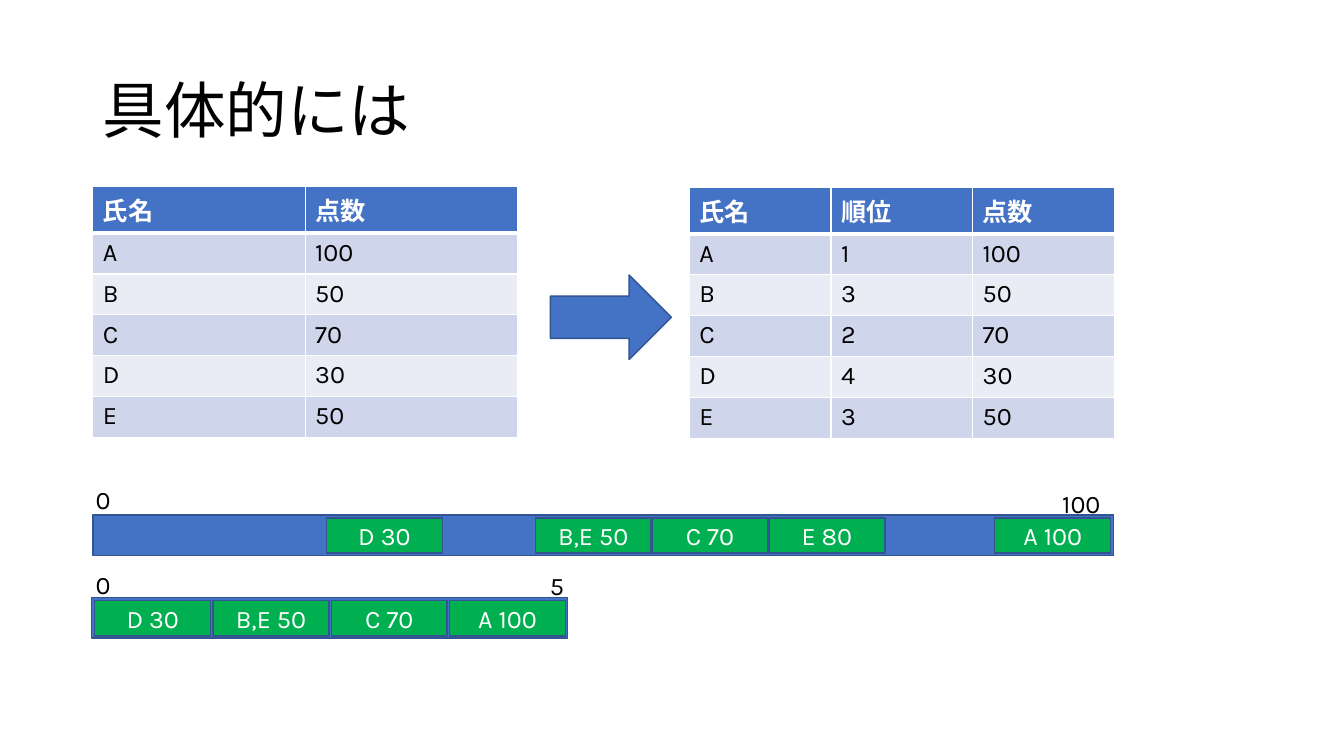
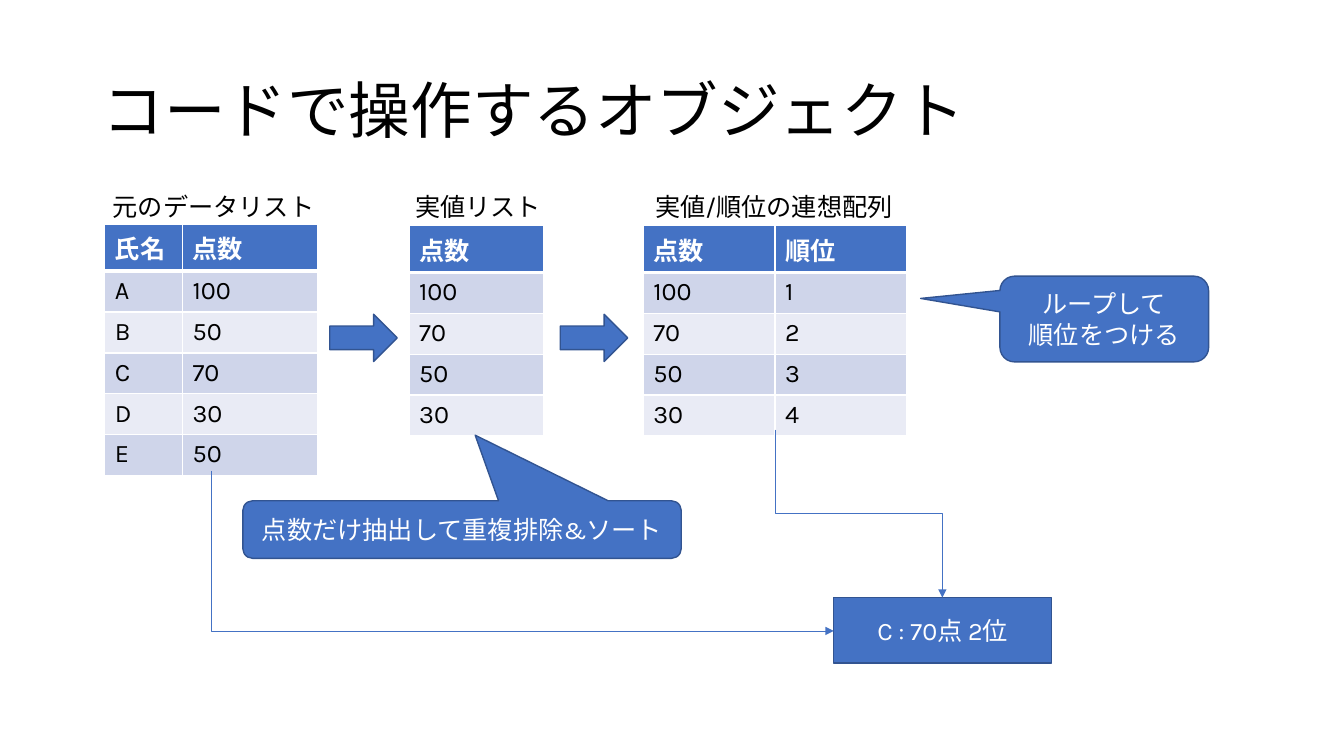
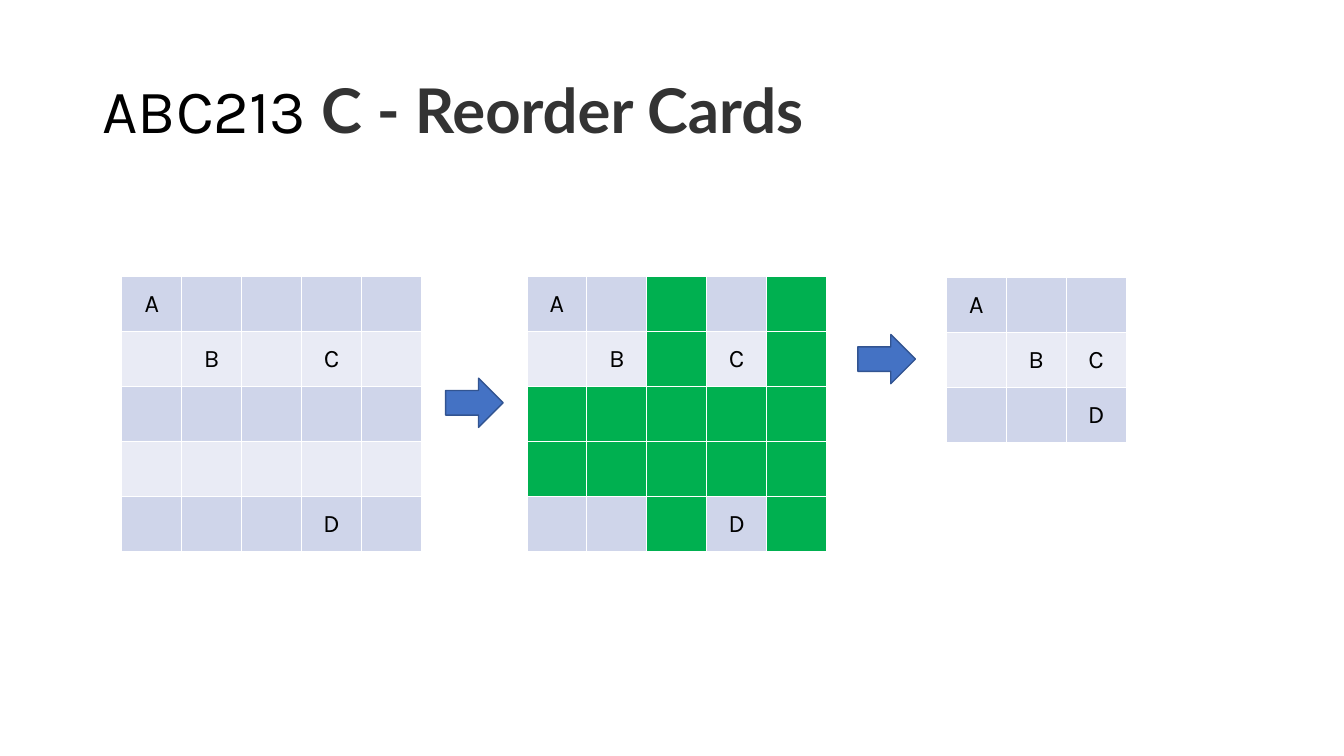
"""Build three slides on ranking scores and compressing coordinates."""
import dataclasses

import lxml.etree
import pptx
import pptx.dml.color
import pptx.enum.lang
import pptx.enum.shapes
import pptx.enum.text
import pptx.oxml.ns
import pptx.util

Cm = pptx.util.Cm
Pt = pptx.util.Pt
Shape = pptx.enum.shapes.MSO_SHAPE
Align = pptx.enum.text.PP_ALIGN
Anchor = pptx.enum.text.MSO_ANCHOR
qualified = pptx.oxml.ns.qn
rgb = pptx.dml.color.RGBColor.from_string


@dataclasses.dataclass(frozen=True)
class Theme:
    blue: str = "4472C4"
    outline: str = "325491"
    green: str = "00B050"
    bands: tuple = ("CFD5EA", "E9EBF5")
    black: str = "000000"
    charcoal: str = "333333"
    white: str = "FFFFFF"
    font: str = "Karla"
    accent_font: str = "Lato"
    title_size: int = 44
    body_size: int = 18
    outline_width: float = 1
    connector_width: float = 0.5
    border: int = 1
    header_border: int = 3


theme = Theme()


def write_text(frame, runs, color=theme.black, alignment=Align.LEFT, **changes):
    """Fill a text frame; line breaks in a plain string start new paragraphs."""
    lines = [[(line, {})] for line in runs.split("\n")] if isinstance(runs, str) else [runs]
    for index, line in enumerate(lines):
        para = frame.add_paragraph() if index else frame.paragraphs[0]
        para.alignment = alignment
        for words, own in line:
            span = para.add_run()
            span.text = words
            look = {"name": theme.font, "size": Pt(theme.body_size), "bold": False,
                    "language_id": pptx.enum.lang.MSO_LANGUAGE_ID.JAPANESE,
                    "color": color, **changes, **own}
            span.font.color.rgb = rgb(look.pop("color"))
            for name, value in look.items():
                setattr(span.font, name, value)


deck = pptx.Presentation()
deck.slide_width, deck.slide_height = Cm(33.87), Cm(19.05)

titles = [
    [("具体的には", {})],
    [("コードで操作するオブジェクト", {})],
    [("ABC213 ", {}),
     ("C - Reorder Cards",
      {"name": theme.accent_font, "color": theme.charcoal, "bold": True})],
]
pages = []
for runs in titles:
    page = deck.slides.add_slide(deck.slide_layouts[5])
    title = page.shapes.title
    place = {"left": Cm(2.33), "top": Cm(1.01), "width": Cm(29.21), "height": Cm(3.68)}
    for name, value in place.items():
        setattr(title, name, value)
    title.text_frame.vertical_anchor = Anchor.MIDDLE
    write_text(title.text_frame, runs, size=Pt(theme.title_size))
    title.text_frame.paragraphs[0].line_spacing = 0.9
    pages.append(page)
ranking, objects, cards = pages

scores = [("A", "100"), ("B", "50"), ("C", "70"), ("D", "30"), ("E", "50")]
distinct = sorted({int(score) for name, score in scores}, reverse=True)
ranks = {str(score): str(rank) for rank, score in enumerate(distinct, 1)}
score_rows = [("氏名", "点数"), *scores]
ranked_rows = [("氏名", "順位", "点数")] + [(name, ranks[score], score) for name, score in scores]
distinct_rows = [("点数",)] + [(score,) for score in ranks]
rank_rows = [("点数", "順位"), *ranks.items()]

full_cards = ["A    ", " B C ", "     ", "     ", "   D "]
empty_rows = [row for row, line in enumerate(full_cards) if not line.strip()]
empty_columns = [column for column in range(5)
                 if not any(line[column].strip() for line in full_cards)]
packed_cards = [[line[column] for column in range(5) if column not in empty_columns]
                for row, line in enumerate(full_cards) if row not in empty_rows]

score_tables = [
    (ranking, 2.34, 4.7, (5.35, 5.35), score_rows),
    (ranking, 17.37, 4.72, (3.57, 3.57, 3.57), ranked_rows),
    (objects, 2.64, 5.66, (1.96, 3.4), score_rows),
    (objects, 10.31, 5.69, (3.4,), distinct_rows),
    (objects, 16.21, 5.69, (3.32, 3.32), rank_rows),
]
card_tables = [
    (cards, 3.07, 6.96, (1.51,) * 5, full_cards, False),
    (cards, 13.28, 6.96, (1.51,) * 5, full_cards, True),
    (cards, 23.85, 6.99, (1.51,) * 3, packed_cards, False),
]
tables = [(*entry, 1.03, True, False) for entry in score_tables]
tables += [(*entry[:5], 1.39, False, entry[5]) for entry in card_tables]

for page, left, top, widths, rows, row_height, has_header, marks_empty in tables:
    table = page.shapes.add_table(
        len(rows), len(widths), Cm(left), Cm(top),
        Cm(sum(widths)), Cm(row_height * len(rows))).table
    table.first_row = table.horz_banding = False
    for column, width in enumerate(widths):
        table.columns[column].width = Cm(width)
    for row, values in enumerate(rows):
        table.rows[row].height = Cm(row_height)
        heading = has_header and row == 0
        for column, value in enumerate(values):
            cell = table.cell(row, column)
            top_border = theme.header_border if has_header and row == 1 else theme.border
            bottom_border = theme.header_border if heading else theme.border
            borders = {"lnL": theme.border, "lnR": theme.border,
                       "lnT": top_border, "lnB": bottom_border}
            properties = cell._tc.get_or_add_tcPr()
            for side, points in borders.items():
                border = lxml.etree.SubElement(
                    properties, qualified("a:" + side), w=str(Pt(points)))
                paint = lxml.etree.SubElement(border, qualified("a:solidFill"))
                lxml.etree.SubElement(paint, qualified("a:srgbClr"), val=theme.white)
            fill = theme.blue if heading else theme.bands[(row - has_header) % 2]
            if marks_empty and (row in empty_rows or column in empty_columns):
                fill = theme.green
            cell.fill.solid()
            cell.fill.fore_color.rgb = rgb(fill)
            cell.vertical_anchor = Anchor.TOP if has_header else Anchor.MIDDLE
            if value.strip():
                write_text(cell.text_frame, value,
                           theme.white if heading else theme.black,
                           Align.LEFT if has_header else Align.CENTER, bold=heading)

callout = Shape.ROUNDED_RECTANGULAR_CALLOUT
blocks = [
    (ranking, Shape.RECTANGLE, 2.34, 12.98, 25.73, 1.02, theme.blue, "", ()),
    (ranking, Shape.RECTANGLE, 2.31, 15.06, 11.99, 1.02, theme.blue, "", ()),
    (objects, Shape.RECTANGLE, 21.01, 15.06, 5.49, 1.65, theme.blue, "C : 70点 2位", ()),
    (objects, callout, 6.12, 12.62, 11.05, 1.45, theme.blue,
     "点数だけ抽出して重複排除&ソート".replace("&", "&"), (0.03, -1.64, 0.17)),
    (objects, callout, 25.2, 6.96, 5.26, 2.16, theme.blue,
     "ループして\n順位をつける", (-0.88, -0.24, 0.17)),
]
arrows = [
    (ranking, 13.87, 6.93, 3.05, 2.13),
    (objects, 8.31, 7.92, 1.7, 1.19),
    (objects, 14.12, 7.92, 1.7, 1.19),
    (cards, 11.23, 9.53, 1.45, 1.24),
    (cards, 21.62, 8.43, 1.45, 1.24),
]
for page, *place in arrows:
    blocks.append((page, Shape.RIGHT_ARROW, *place, theme.blue, "", ()))
sparse = [("D 30", 8.23), ("B,E 50", 13.49), ("C 70", 16.43), ("E 80", 19.38), ("A 100", 25.07)]
packed = [(words, 2.39 + 2.98 * index)
          for index, words in enumerate(("D 30", "B,E 50", "C 70", "A 100"))]
for top, tiles in ((13.05, sparse), (15.14, packed)):
    for words, left in tiles:
        blocks.append((ranking, Shape.RECTANGLE, left, top, 2.92, 0.89, theme.green, words, ()))

for page, kind, left, top, width, height, fill, words, adjustments in blocks:
    block = page.shapes.add_shape(kind, Cm(left), Cm(top), Cm(width), Cm(height))
    block.shadow.inherit = False
    block.fill.solid()
    block.fill.fore_color.rgb = rgb(fill)
    block.line.color.rgb = rgb(theme.outline)
    block.line.width = Pt(theme.outline_width)
    for index, value in enumerate(adjustments):
        block.adjustments[index] = value
    if words:
        block.text_frame.word_wrap = True
        block.text_frame.vertical_anchor = Anchor.MIDDLE
        write_text(block.text_frame, words, theme.white, Align.CENTER)

labels = [
    (ranking, 2.16, 12.09, 0.86, "0"),
    (ranking, 26.52, 12.17, 1.55, "100"),
    (ranking, 2.16, 14.22, 0.86, "0"),
    (ranking, 13.61, 14.25, 0.86, "5"),
    (objects, 2.59, 4.7, 5.64, "元のデータリスト"),
    (objects, 10.21, 4.7, 3.71, "実値リスト"),
    (objects, 16.26, 4.7, 6.93, "実値/順位の連想配列".replace("/", "/")),
]
for page, left, top, width, words in labels:
    box = page.shapes.add_textbox(Cm(left), Cm(top), Cm(width), Cm(1.02))
    box.text_frame.word_wrap = False
    box.text_frame.auto_size = pptx.enum.text.MSO_AUTO_SIZE.SHAPE_TO_FIT_TEXT
    write_text(box.text_frame, words)

result_links = [
    ("bentConnector2", 5.33, 11.86, 21.01, 15.9),
    ("bentConnector3", 19.53, 10.83, 23.75, 15.06),
]
for preset, start_x, start_y, end_x, end_y in result_links:
    across, down = end_x - start_x, end_y - start_y
    left = (start_x + end_x - down) / 2
    top = (start_y + end_y - across) / 2
    link = objects.shapes.add_connector(
        pptx.enum.shapes.MSO_CONNECTOR.ELBOW,
        Cm(left), Cm(top), Cm(left + down), Cm(top + across))
    link.line.color.rgb = rgb(theme.blue)
    link.line.width = Pt(theme.connector_width)
    properties = link.element.spPr
    turn = properties.find(qualified("a:xfrm"))
    for name, value in {"rot": "16200000", "flipH": "1"}.items():
        turn.set(name, value)
    properties.find(qualified("a:prstGeom")).set("prst", preset)
    lxml.etree.SubElement(
        properties.find(qualified("a:ln")), qualified("a:tailEnd"), type="triangle")
    lxml.etree.SubElement(properties, qualified("a:effectLst"))

deck.save("out.pptx")
